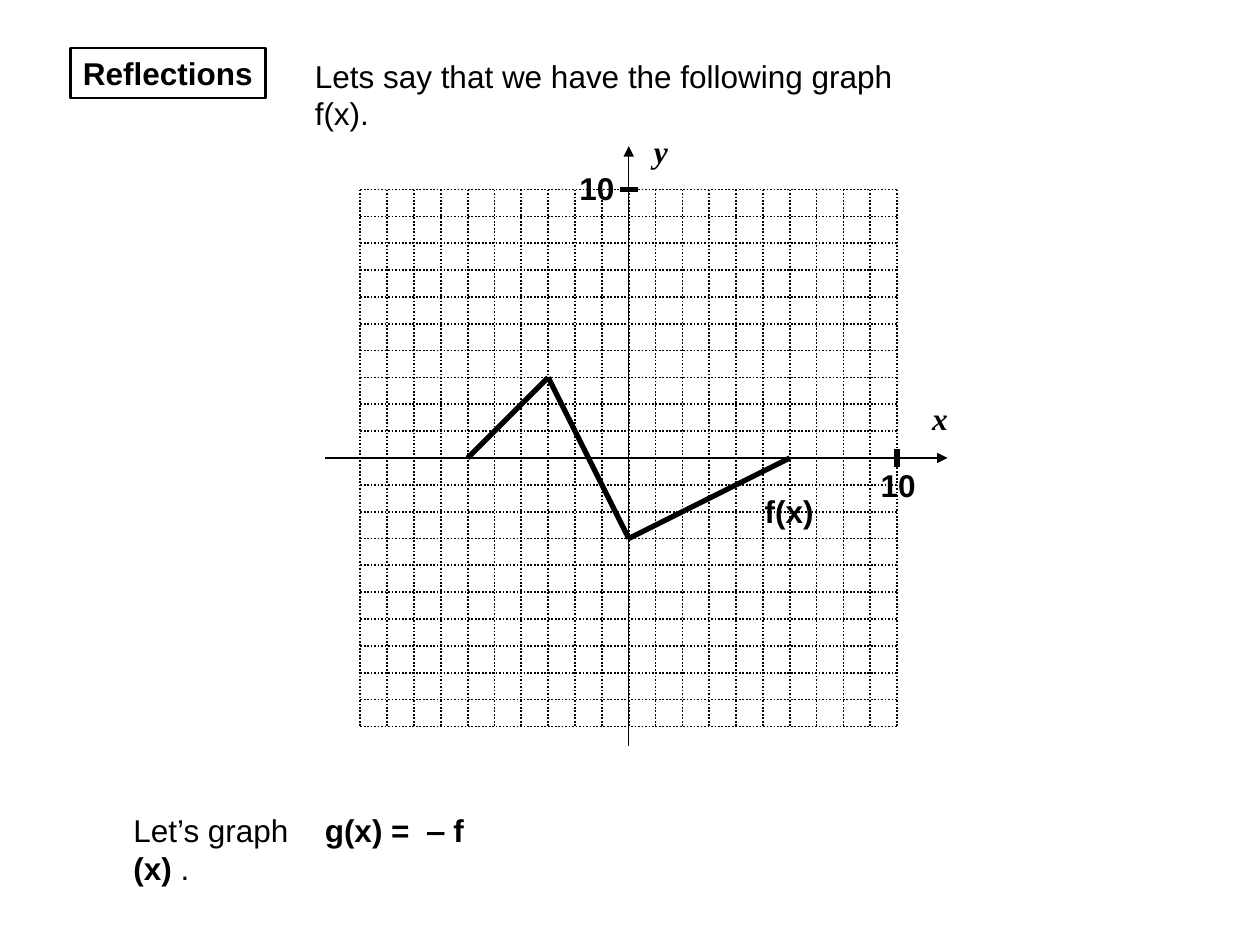
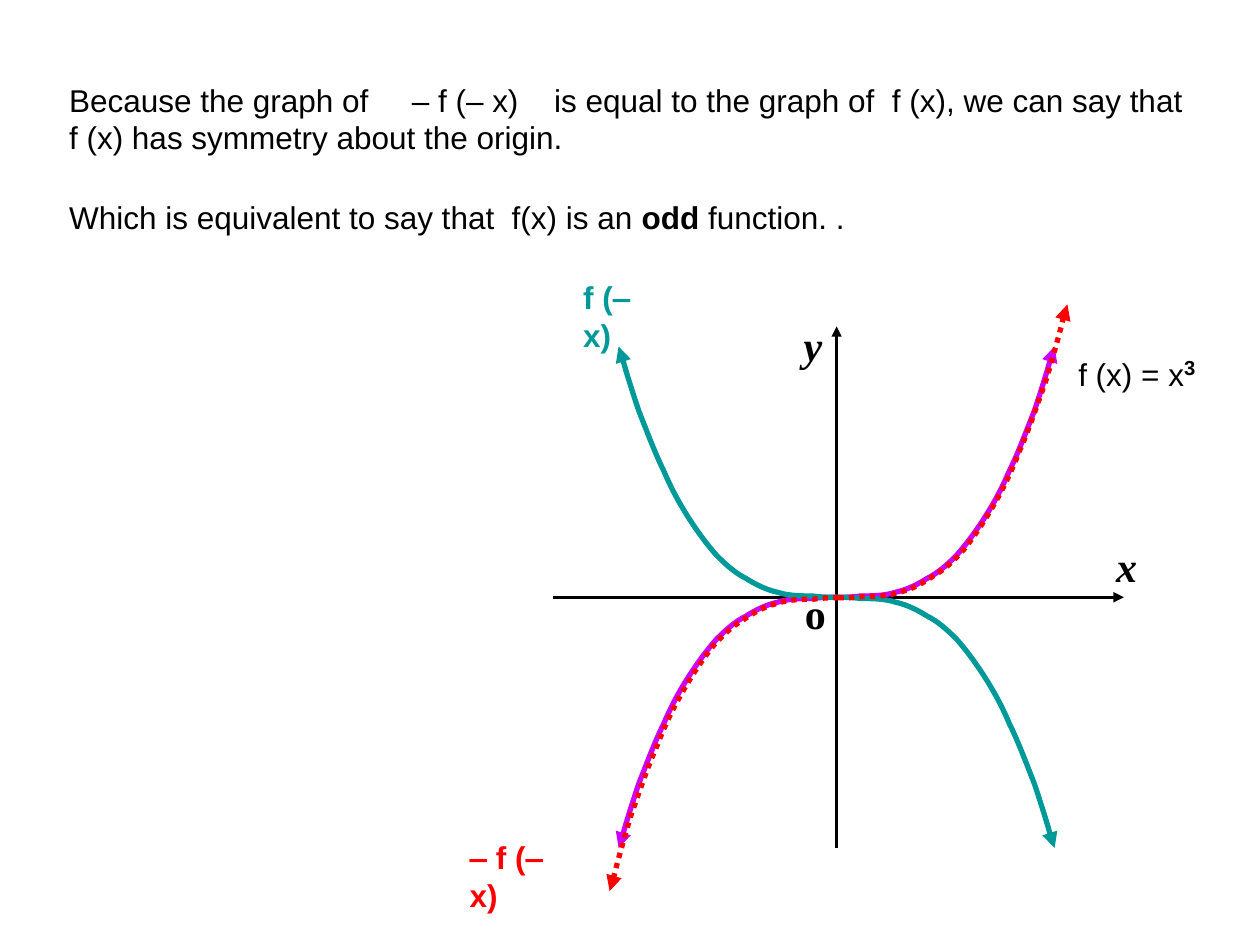
import pptx
import pptx.util
import pptx.dml.color
import pptx.enum.dml
import pptx.enum.text
import pptx.oxml
import pptx.oxml.ns
from lxml import etree

INKS = {"black": "000000", "violet": "CC00FF", "teal": "009999", "red": "FF0000"}
SANS, SERIF = "Arial", "Times New Roman"
WIDE, HIGH = pptx.util.Inches(10), pptx.util.Inches(7.5)
CELL = WIDE // 100  # the slide is 100 columns by 75 rows
DOTS = pptx.enum.dml.MSO_LINE.ROUND_DOT

# Right half of the cubic, in columns and rows from the origin:
# three Bezier points for each arc.
CUBIC = [
    (0.6, 0), (1.2, 0), (1.9, 0.1),
    (2.7, 0.1), (3.8, 0.1), (4.7, 0.4),
    (5.6, 0.6), (6.4, 1), (7.2, 1.5),
    (8, 1.9), (8.7, 2.5), (9.5, 3.3),
    (10.3, 4.2), (11.1, 5.3), (11.8, 6.4),
    (12.5, 7.5), (13.1, 8.6), (13.7, 10),
    (14.4, 11.4), (15.1, 13.3), (15.7, 14.8),
    (16.2, 16.3), (16.8, 18.2), (17, 19),
    (17.1, 19.3), (17.2, 19.6), (17.3, 19.9),
]


def tag(name):
    return pptx.oxml.ns.qn("a:" + name)


def emu(cells):
    return round(cells * CELL)


def color(ink):
    return pptx.dml.color.RGBColor.from_string(INKS[ink])


def stroke(shape, ink, width, dash=None, arrow=False):
    """Style the line of a shape; an arrow sits at its far end."""
    line = shape.line
    line.color.rgb = color(ink)
    line.width = pptx.util.Pt(width)
    if dash:
        line.dash_style = dash
    if arrow:
        etree.SubElement(line._get_or_add_ln(), tag("tailEnd"), type="triangle")


def draw(slide, start, end, width, dash=None, arrow=False):
    ends = [emu(v) for v in (*start, *end)]
    line = slide.shapes.add_connector(1, *ends)
    stroke(line, "black", width, dash, arrow)
    etree.SubElement(line._element.spPr, tag("effectLst"))


def write(slide, left, top, wide, text, size=18, face=SANS, ink="black",
          bold=None, slant=None, high=4, tabs=(), wrap=False):
    """Add a text box; asterisks enclose bold words, tabs are in columns."""
    box = slide.shapes.add_textbox(*map(emu, (left, top, wide, high)))
    frame = box.text_frame
    frame.word_wrap = wrap
    frame.auto_size = pptx.enum.text.MSO_AUTO_SIZE.SHAPE_TO_FIT_TEXT
    for i, row in enumerate(text.split("\n")):
        para = frame.add_paragraph() if i else frame.paragraphs[0]
        font = para.font
        font.name, font.size = face, pptx.util.Pt(size)
        font.bold, font.italic = bold, slant
        font.color.rgb = color(ink)
        for j, part in enumerate(row.split("*")):
            run = para.add_run()
            run.text = part
            if j % 2:
                run.font.bold = True
        if tabs:
            stops = etree.Element(tag("tabLst"))
            for stop in tabs:
                etree.SubElement(stops, tag("tab"), pos=str(emu(stop)), algn="l")
            para._p.get_or_add_pPr().insert(0, stops)
    return box


def curve(slide, zero, sx, sy, ink, dash=None):
    """Draw half of the cubic from zero, scaled by sx and sy."""
    x, y = zero
    spots = [(emu(x + sx * dx), emu(y - sy * dy)) for dx, dy in CUBIC]
    pen = slide.shapes.build_freeform(emu(x), emu(y))
    pen.add_line_segments(spots, close=False)
    shape = pen.convert_to_shape()
    shape.shadow.inherit = False
    shape.fill.background()
    stroke(shape, ink, 3, dash, arrow=True)
    track = next(shape._element.iter(tag("path")))
    legs = track.findall(tag("lnTo"))
    for i in range(0, len(legs), 3):
        arc = etree.SubElement(track, tag("cubicBezTo"))
        for leg in legs[i:i + 3]:
            arc.append(leg[0])
            track.remove(leg)


def mesh(slide, zero, step, reach):
    x, y = zero
    span = step * reach
    for n in range(-reach, reach + 1):
        gap = n * step
        draw(slide, (x + gap, y - span), (x + gap, y + span), 1, DOTS)
        draw(slide, (x - span, y + gap), (x + span, y + gap), 1, DOTS)


def reflect(slide):
    zero = x, y = 49.9, 36.35
    step, reach = 2.13, 10
    edge = step * reach
    title = write(slide, 5.6, 3.8, 15.5, "Reflections", bold=True)
    stroke(title, "black", 1.5)
    write(slide, 24, 4, 52.8, "Lets say that we have the following graph f(x).")
    bends = [(x + a * step, y - b * step)
             for a, b in ((-6, 0), (-3, 3), (0, -3), (6, 0))]
    for start, end in zip(bends, bends[1:]):
        draw(slide, start, end, 3)
    write(slide, 9.6, 63.9, 33.3, "Let’s graph\t*g(x) =  ‒ f (x)* .", tabs=[15.2])
    mesh(slide, zero, step, reach)
    draw(slide, (x, 59.2), (x, 11.6), 0.75, arrow=True)
    draw(slide, (25.8, y), (75.2, y), 0.75, arrow=True)
    draw(slide, (x + edge, y - 0.7), (x + edge, y + 0.7), 3)
    draw(slide, (x - 0.7, y - edge), (x + 0.7, y - edge), 3)
    write(slide, 50.9, 10, 3.1, "y", face=SERIF, bold=True, slant=True)
    write(slide, 73, 31.2, 3.2, "x", face=SERIF, bold=True, slant=True)
    for left, top, wide, text in ((68.9, 36.5, 4.8, "10"), (45, 12.9, 4.8, "10"),
                                  (59.7, 38.6, 5.9, "f(x)")):
        write(slide, left, top, wide, text, bold=True)


def odd(slide):
    zero = x, y = 66.4, 47.4
    draw(slide, (43.9, y), (89.2, y), 1.5, arrow=True)
    draw(slide, (x, 67.3), (x, 25.9), 1.5, arrow=True)
    for left, top, text, slant in ((62.8, 24.9, "y", True), (87.6, 42.4, "x", True),
                                   (62.9, 46.1, "o", None)):
        write(slide, left, top, 3.6, text, 24, SERIF, bold=True, slant=slant, high=5)
    for side in (1, -1):
        curve(slide, zero, side, side, "violet")
    for side in (1, -1):
        curve(slide, zero, side, -side, "teal")
    for side in (1, -1):
        curve(slide, (x + 0.15, y + 0.05), side * 1.05, side * 1.17, "red", DOTS)
    rule = write(slide, 84.6, 27.4, 11.3, "f (x) = x*3*", high=4.4)
    power = rule.text_frame.paragraphs[0].runs[1]
    power.font.size = pptx.util.Pt(20)
    power._r.get_or_add_rPr().set("baseline", "30000")
    write(slide, 45.3, 21.6, 8.6, "f (‒ x)", ink="teal", bold=True)
    write(slide, 36.3, 66, 10.7, "‒ f (‒ x)", ink="red", bold=True)
    write(slide, 4.5, 5.9, 91.1,
          "Because the graph of\t‒ f (‒ x)\tis equal to the graph of  f (x), "
          "we can say that\nf (x) has symmetry about the origin.",
          high=7, tabs=[27.2, 38.5])
    write(slide, 4.5, 15.2, 84.5,
          "Which is equivalent to say that  f(x) is an *odd* function. .", wrap=True)


def main():
    deck = pptx.Presentation()
    deck.slide_width, deck.slide_height = WIDE, HIGH
    for fill in (reflect, odd):
        fill(deck.slides.add_slide(deck.slide_layouts[6]))
    deck.save("out.pptx")


if __name__ == "__main__":
    main()
